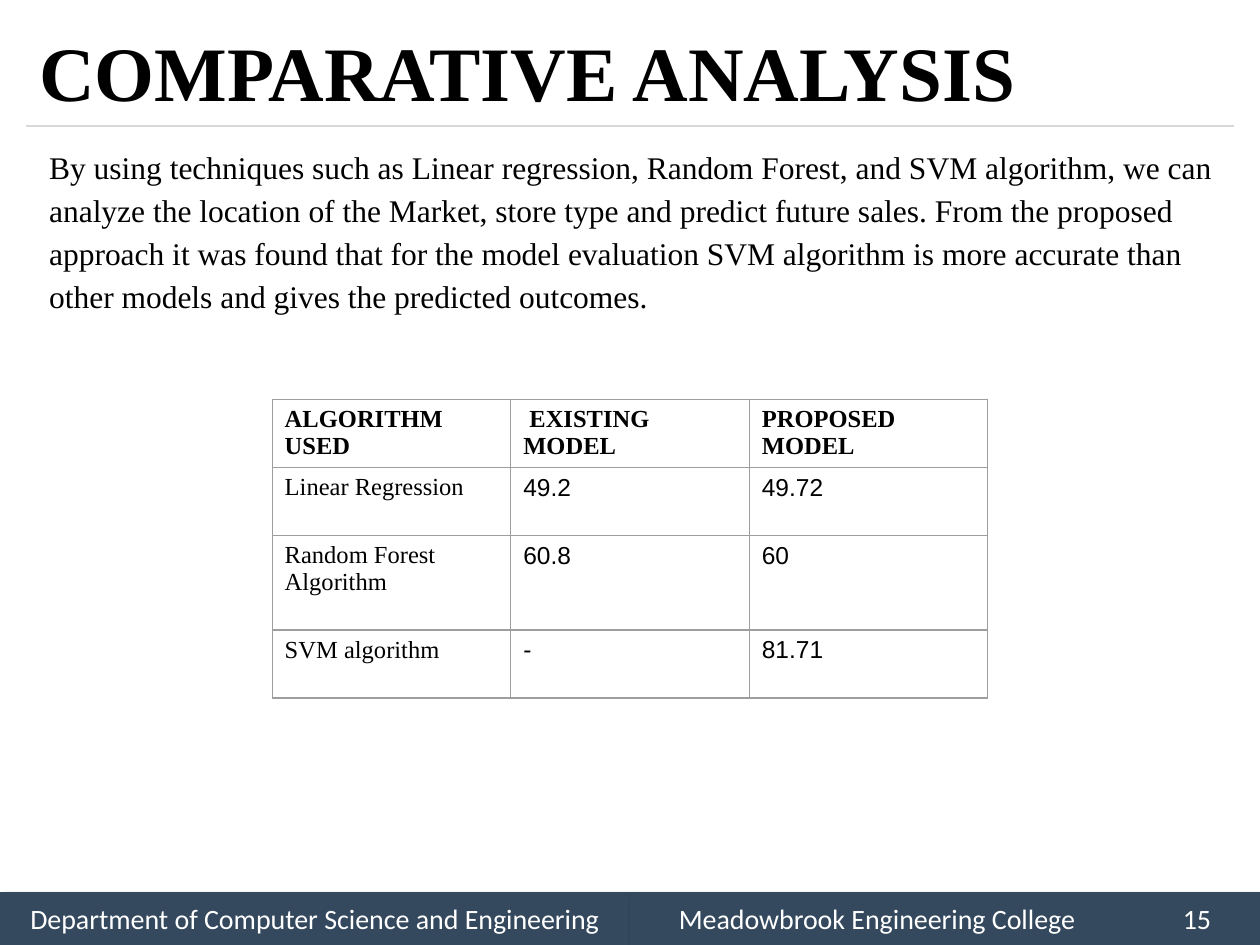
from lxml import etree
from pptx import Presentation
from pptx import util as u
from pptx.dml.color import RGBColor
from pptx.enum import shapes, text
from pptx.oxml import parse_xml
from pptx.oxml.ns import nsdecls, qn

BLACK = RGBColor(0x00, 0x00, 0x00)
WHITE = RGBColor(0xFF, 0xFF, 0xFF)
NAVY = RGBColor(0x34, 0x49, 0x5E)
RULE_GREY = RGBColor(0xD8, 0xD8, 0xD8)
BORDER_GREY = RGBColor(0x9E, 0x9E, 0x9E)
SERIF, SANS, FOOTER_FONT = "Times New Roman", "Arial", "Calibri"


def style(paragraph, font_name, size, color, bold=False):
    for run in paragraph.runs:
        run.font.name = font_name
        run.font.size = u.Pt(size)
        run.font.color.rgb = color
        run.font.bold = bold


def place(shape, left, top, width, height):
    shape.left, shape.top = u.Inches(left), u.Inches(top)
    shape.width, shape.height = u.Inches(width), u.Inches(height)


presentation = Presentation()
presentation.slide_width, presentation.slide_height = u.Inches(10), u.Inches(7.5)
slide = presentation.slides.add_slide(presentation.slide_layouts[1])
MARGIN = 0.21
CONTENT_WIDTH = 10 - 2 * MARGIN
FOOTER_HEIGHT = 0.42

# Footer: two half-width bars
footers = ["Department of Computer Science and Engineering",
           "Meadowbrook Engineering College \t\t15"]
for column, footer_text in enumerate(footers):
    bar = slide.shapes.add_shape(shapes.MSO_SHAPE.RECTANGLE, 0, 0, 0, 0)
    place(bar, column * 5, 7.5 - FOOTER_HEIGHT, 5, FOOTER_HEIGHT)
    bar.fill.solid()
    bar.fill.fore_color.rgb = NAVY
    bar.line.fill.background()
    bar.shadow.inherit = False
    effects = bar._element.spPr.find(qn("a:effectLst"))
    effects.append(parse_xml(
        f'<a:outerShdw {nsdecls("a")} blurRad="{u.Pt(4)}" dist="{u.Pt(3)}" dir="2700000">'
        '<a:srgbClr val="000000"><a:alpha val="40000"/></a:srgbClr></a:outerShdw>'))
    bar.text_frame.text = footer_text
    bar.text_frame.vertical_anchor = text.MSO_ANCHOR.MIDDLE
    bar.text_frame.paragraphs[0].alignment = text.PP_ALIGN.CENTER
    style(bar.text_frame.paragraphs[0], FOOTER_FONT, 16, WHITE)

# Rule under the title
rule = slide.shapes.add_connector(
    shapes.MSO_CONNECTOR.STRAIGHT, u.Inches(MARGIN), u.Inches(1),
    u.Inches(10 - MARGIN), u.Inches(1))
rule.line.color.rgb = RULE_GREY
rule.line.width = u.Pt(0.75)
etree.SubElement(rule._element.spPr, qn("a:effectLst"))

# Title
title = slide.shapes.title
place(title, MARGIN, 0.12, CONTENT_WIDTH, 0.88)
title.text_frame.text = "COMPARATIVE ANALYSIS"
title.text_frame.auto_size = text.MSO_AUTO_SIZE.NONE
title.text_frame.vertical_anchor = text.MSO_ANCHOR.MIDDLE
title.text_frame.paragraphs[0].alignment = text.PP_ALIGN.LEFT
style(title.text_frame.paragraphs[0], SERIF, 44, BLACK, bold=True)

# Body paragraph
body = slide.placeholders[1]
place(body, MARGIN, 1.08, CONTENT_WIDTH, 5.83)
body.text_frame.text = (
    "By using techniques such as Linear regression, Random Forest, and SVM algorithm, "
    "we can analyze the location of the Market, store type and predict future sales. "
    "From the proposed approach it was found that for the model evaluation SVM algorithm "
    "is more accurate than other models and gives the predicted outcomes.")
body.text_frame.auto_size = text.MSO_AUTO_SIZE.NONE
paragraph = body.text_frame.paragraphs[0]
paragraph.line_spacing = 1.14
paragraph.space_before = u.Pt(4.8)
properties = paragraph._p.get_or_add_pPr()
properties.set("marL", str(u.Inches(0.08)))
properties.set("indent", "0")
etree.SubElement(properties, qn("a:buNone"))
style(paragraph, SERIF, 18, BLACK)

# Results table, centred on the slide
rows = [["ALGORITHM USED", " EXISTING MODEL", "PROPOSED MODEL"],
        ["Linear Regression", "49.2", "49.72"],
        ["Random Forest Algorithm", "60.8", "60"],
        ["SVM algorithm", "-", "81.71"]]
row_heights = [0.54, 0.54, 0.75, 0.54]
TABLE_WIDTH = 5.68
table = slide.shapes.add_table(
    len(rows), 3, u.Inches((10 - TABLE_WIDTH) / 2), u.Inches(3.17),
    u.Inches(TABLE_WIDTH), u.Inches(sum(row_heights))).table
table.first_row = table.horz_banding = False
for row, (values, height) in enumerate(zip(rows, row_heights)):
    table.rows[row].height = u.Inches(height)
    for column, value in enumerate(values):
        cell = table.cell(row, column)
        cell.text_frame.text = value
        font_name = SERIF if row == 0 or column == 0 else SANS
        style(cell.text_frame.paragraphs[0], font_name, 14, BLACK, bold=row == 0)
        cell_properties = cell._tc.get_or_add_tcPr()
        for side in ("lnL", "lnR", "lnT", "lnB"):
            cell_properties.append(parse_xml(
                f'<a:{side} {nsdecls("a")} w="{u.Pt(0.75)}"><a:solidFill>'
                f'<a:srgbClr val="{BORDER_GREY}"/></a:solidFill></a:{side}>'))
        cell.fill.background()

presentation.save("out.pptx")
